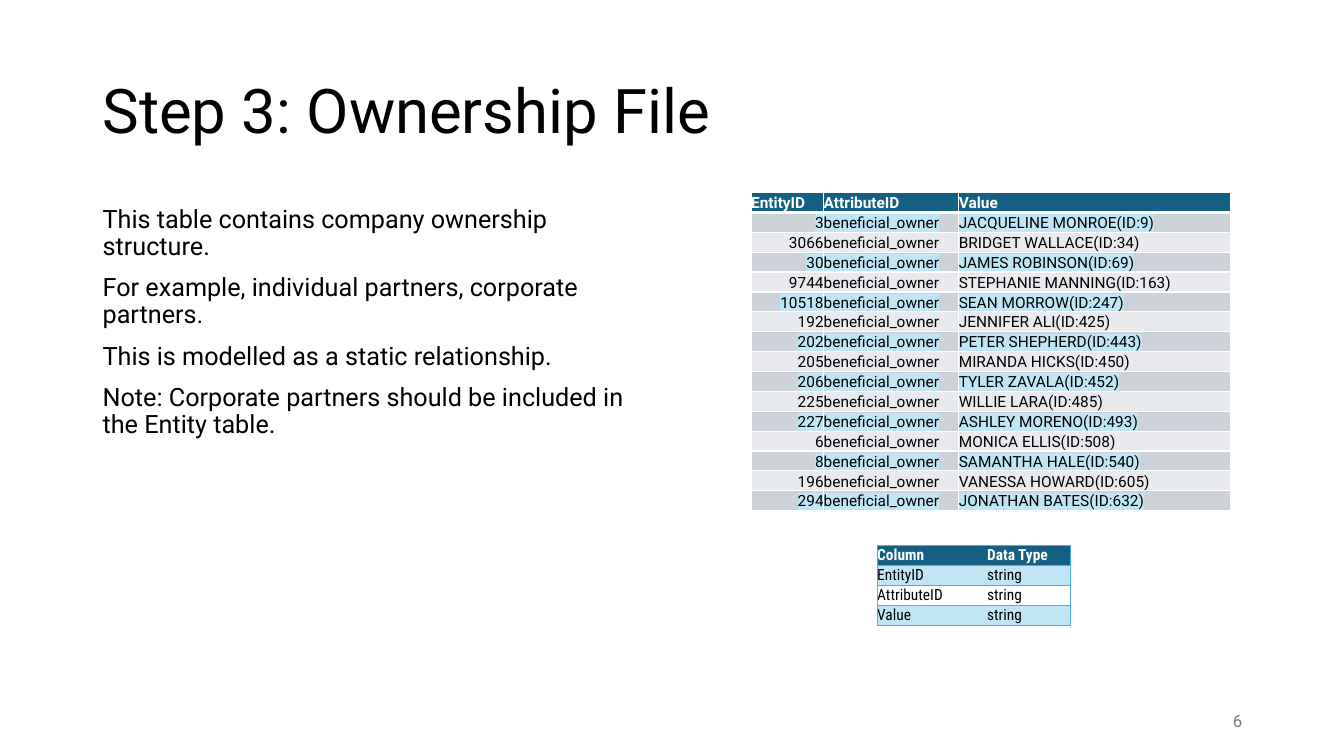
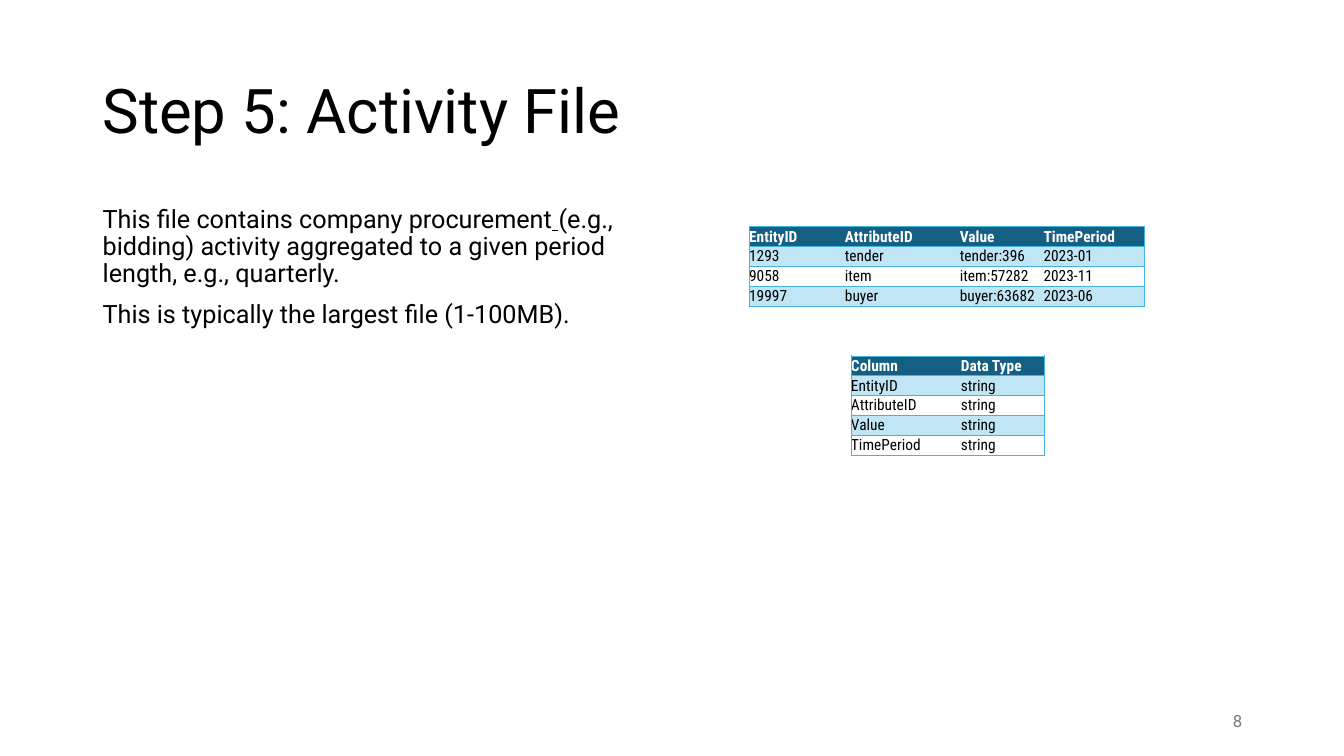
from dataclasses import dataclass
from typing import Optional

from lxml import etree
from pptx import Presentation
from pptx.dml.color import RGBColor
from pptx.enum.text import MSO_ANCHOR, PP_ALIGN
from pptx.oxml.ns import qn
from pptx.util import Pt

PX = 9144
LEFT, RIGHT = PP_ALIGN.LEFT, PP_ALIGN.RIGHT
TOP, MIDDLE, BOTTOM = MSO_ANCHOR.TOP, MSO_ANCHOR.MIDDLE, MSO_ANCHOR.BOTTOM


@dataclass(frozen=True)
class Theme:
    ink: str = "000000"
    paper: str = "FFFFFF"
    muted: str = "797979"
    header: str = "156082"
    sky: str = "C0E6F5"
    rule: str = "44B3E1"
    grey_dark: str = "CCD2D8"
    grey_light: str = "E8EAED"
    face: str = "Roboto"
    narrow_face: str = "Roboto Condensed"
    title_size: int = 44
    body_size: int = 18
    page_size: int = 12
    table_size: int = 11


THEME = Theme()


@dataclass(frozen=True)
class TableStyle:
    face: str
    fills: tuple
    highlights: tuple
    rule: str
    rule_width: float
    header_rule_width: float
    inner_verticals: bool
    anchor: MSO_ANCHOR
    first_column: PP_ALIGN


RECORDS = TableStyle(
    face=THEME.face, fills=(THEME.grey_dark, THEME.grey_light),
    highlights=(THEME.sky, None), rule=THEME.paper, rule_width=1,
    header_rule_width=3, inner_verticals=True, anchor=BOTTOM,
    first_column=RIGHT)
SCHEMA = TableStyle(
    face=THEME.narrow_face, fills=(THEME.sky, None),
    highlights=(None, None), rule=THEME.rule, rule_width=0.5,
    header_rule_width=0.5, inner_verticals=False, anchor=MIDDLE,
    first_column=LEFT)


class Deck:
    """Builds slides in one shared style."""

    def __init__(self, theme, width, height):
        self.theme = theme
        self.prs = Presentation()
        self.prs.slide_width, self.prs.slide_height = width * PX, height * PX
        self.slide = None

    def new_slide(self, title, page):
        self.slide = self.prs.slides.add_slide(self.prs.slide_layouts[6])
        heading = self.text_frame(92, 40, 1150, 145, MIDDLE).paragraphs[0]
        heading.line_spacing = 0.9
        self.run(heading, title, self.theme.title_size)
        number = self.text_frame(942, 695, 300, 40, MIDDLE).paragraphs[0]
        number.alignment = RIGHT
        self.run(number, page, self.theme.page_size, color=self.theme.muted)

    def text_frame(self, left, top, width, height, anchor):
        box = self.slide.shapes.add_textbox(
            left * PX, top * PX, width * PX, height * PX)
        frame = box.text_frame
        frame.word_wrap = True
        frame.vertical_anchor = anchor
        return frame

    def run(self, paragraph, text, size, face=None, color=None, bold=False,
            underline=False, highlight: Optional[str] = None):
        run = paragraph.add_run()
        run.text = text
        font = run.font
        font.size = Pt(size)
        font.bold = bold
        font.underline = underline
        font.color.rgb = RGBColor.from_string(color or self.theme.ink)
        font.name = face or self.theme.face
        if highlight:
            mark = etree.Element(qn("a:highlight"))
            etree.SubElement(mark, qn("a:srgbClr"), val=highlight)
            run._r.rPr.find(qn("a:latin")).addprevious(mark)

    def body(self, paragraphs):
        frame = self.text_frame(92, 200, 567, 476, TOP)
        for index, pieces in enumerate(paragraphs):
            paragraph = frame.add_paragraph() if index else frame.paragraphs[0]
            paragraph.line_spacing = 0.9
            paragraph.space_before = Pt(10)
            for text, underline in pieces:
                self.run(paragraph, text, self.theme.body_size,
                         underline=underline)

    def table(self, left, top, height, widths, rows, style):
        table = self.slide.shapes.add_table(
            len(rows), len(widths), left * PX, top * PX,
            sum(widths) * PX, height * PX).table
        table.first_row = table.horz_banding = False
        for column, width in zip(table.columns, widths):
            column.width = width * PX
        last = len(widths) - 1
        inner = style.rule_width if style.inner_verticals else 0
        for r, values in enumerate(rows):
            for c, value in enumerate(values):
                cell = table.cell(r, c)
                self.fill_cell(cell, value, r, c, style)
                self.borders(cell, style.rule, {
                    "a:lnL": inner if c else style.rule_width,
                    "a:lnR": inner if c < last else style.rule_width,
                    "a:lnT": (style.header_rule_width if r == 1
                              else style.rule_width),
                    "a:lnB": (style.rule_width if r
                              else style.header_rule_width)})

    def fill_cell(self, cell, value, row, column, style):
        band = (row - 1) % 2
        fill = style.fills[band] if row else self.theme.header
        if fill:
            cell.fill.solid()
            cell.fill.fore_color.rgb = RGBColor.from_string(fill)
        else:
            cell.fill.background()
        cell.vertical_anchor = style.anchor
        cell.margin_left = cell.margin_right = 0
        cell.margin_top = cell.margin_bottom = 0
        paragraph = cell.text_frame.paragraphs[0]
        paragraph.alignment = LEFT if column or not row else style.first_column
        self.run(paragraph, value, self.theme.table_size, style.face,
                 self.theme.ink if row else self.theme.paper, bold=not row,
                 highlight=style.highlights[band] if row else None)

    def borders(self, cell, color, widths):
        properties = cell._tc.get_or_add_tcPr()
        for position, (side, width) in enumerate(widths.items()):
            line = etree.Element(qn(side), w=str(Pt(width)))
            if width:
                solid = etree.SubElement(line, qn("a:solidFill"))
                etree.SubElement(solid, qn("a:srgbClr"), val=color)
            else:
                etree.SubElement(line, qn("a:noFill"))
            properties.insert(position, line)

    def schema(self, left, top, height, columns):
        rows = [("Column", "Data Type")] + [(name, "string") for name in columns]
        self.table(left, top, height, (109, 83), rows, SCHEMA)


OWNERSHIP_COLUMNS = ("EntityID", "AttributeID", "Value")
ACTIVITY_COLUMNS = OWNERSHIP_COLUMNS + ("TimePeriod",)
OWNERS = (
    ("3", "JACQUELINE MONROE(ID:9)"),
    ("3066", "BRIDGET WALLACE(ID:34)"),
    ("30", "JAMES ROBINSON(ID:69)"),
    ("9744", "STEPHANIE MANNING(ID:163)"),
    ("10518", "SEAN MORROW(ID:247)"),
    ("192", "JENNIFER ALI(ID:425)"),
    ("202", "PETER SHEPHERD(ID:443)"),
    ("205", "MIRANDA HICKS(ID:450)"),
    ("206", "TYLER ZAVALA(ID:452)"),
    ("225", "WILLIE LARA(ID:485)"),
    ("227", "ASHLEY MORENO(ID:493)"),
    ("6", "MONICA ELLIS(ID:508)"),
    ("8", "SAMANTHA HALE(ID:540)"),
    ("196", "VANESSA HOWARD(ID:605)"),
    ("294", "JONATHAN BATES(ID:632)"),
)
ACTIVITIES = (
    ("1293", "tender", "tender:396", "2023-01"),
    ("9058", "item", "item:57282", "2023-11"),
    ("19997", "buyer", "buyer:63682", "2023-06"),
)


def ownership_slide(deck):
    deck.new_slide("Step 3: Ownership File", "6")
    deck.body([
        [("This table contains company ownership structure.", False)],
        [("For example, individual partners, corporate partners.", False)],
        [("This is modelled as a static relationship.", False)],
        [("Note: Corporate partners should be included in the Entity table.",
          False)],
    ])
    owners = [(entity, "beneficial_owner", owner) for entity, owner in OWNERS]
    deck.table(745, 191, 316, (72, 134, 270),
               [OWNERSHIP_COLUMNS, *owners], RECORDS)
    deck.schema(870, 541, 79, OWNERSHIP_COLUMNS)


def activity_slide(deck):
    deck.new_slide("Step 5: Activity File", "8")
    deck.body([
        [("This file contains company procurement", False), (" ", True),
         ("(e.g., bidding) activity aggregated to a given period length, "
          "e.g., quarterly.", False)],
        [("This is typically the largest file (1-100MB).", False)],
    ])
    deck.schema(844, 353, 99, ACTIVITY_COLUMNS)
    deck.table(743, 225, 79, (95, 114, 83, 100),
               [ACTIVITY_COLUMNS, *ACTIVITIES], SCHEMA)


def main():
    deck = Deck(THEME, 1333, 750)
    ownership_slide(deck)
    activity_slide(deck)
    deck.prs.save("out.pptx")


if __name__ == "__main__":
    main()
